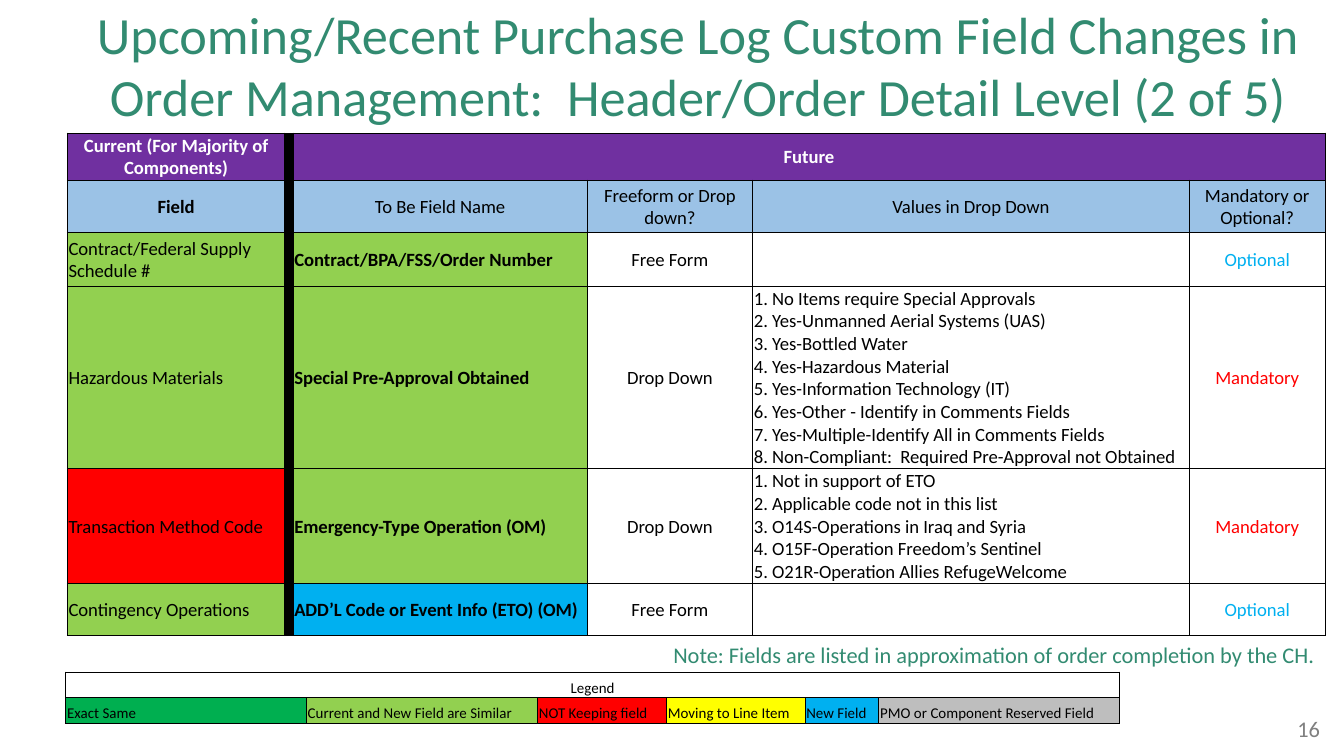
import lxml.etree
import pptx
import pptx.dml.color
import pptx.enum.text
import pptx.oxml.ns
import pptx.util

Inches = pptx.util.Inches
Color = pptx.dml.color.RGBColor
ALIGN = pptx.enum.text.PP_ALIGN
ANCHOR = pptx.enum.text.MSO_ANCHOR

TEAL = Color(0x32, 0x8B, 0x71)
PURPLE = Color(0x70, 0x30, 0xA0)
PALE_BLUE = Color(0x9B, 0xC2, 0xE6)
LIME = Color(0x92, 0xD0, 0x50)
GREEN = Color(0x00, 0xAF, 0x50)
RED = Color(0xFF, 0x00, 0x00)
YELLOW = Color(0xFF, 0xFF, 0x00)
BLUE = Color(0x00, 0xB0, 0xF0)
SILVER = Color(0xBE, 0xBE, 0xBE)
GRAY = Color(0x80, 0x80, 0x80)
BLACK = Color(0x00, 0x00, 0x00)
WHITE = Color(0xFF, 0xFF, 0xFF)

# Content
TITLE = ("Upcoming/Recent Purchase Log Custom Field Changes in Order Management:  "
         "Header/Order Detail Level (2 of 5)")
NOTE = "Note: Fields are listed in approximation of order completion by the CH."
PAGE_NUMBER = "16"
GROUPS = ["Current (For Majority of Components)", "", "Future", "", "", ""]
HEADINGS = ["Field", "", "To Be Field Name", "Freeform or Drop down?",
            "Values in Drop Down", "Mandatory or Optional?"]
# A blank line separates paragraphs, a single line end is a line break
APPROVALS = """1. No Items require Special Approvals
2. Yes-Unmanned Aerial Systems (UAS)
3. Yes-Bottled Water
4. Yes-Hazardous Material
5. Yes-Information Technology (IT)
6. Yes-Other - Identify in Comments Fields
7. Yes-Multiple-Identify All in Comments Fields

8. Non-Compliant:  Required Pre-Approval not Obtained"""
OPERATIONS = """1. Not in support of ETO
2. Applicable code not in this list
3. O14S-Operations in Iraq and Syria
4. O15F-Operation Freedom’s Sentinel
5. O21R-Operation Allies RefugeWelcome"""
# Current field and its fill, future field and its fill, entry type, values, requirement
FIELDS = [
    ("Contract/Federal Supply Schedule #", LIME, "Contract/BPA/FSS/Order Number", LIME,
     "Free Form", "", "Optional"),
    ("Hazardous Materials", LIME, "Special Pre-Approval Obtained", LIME,
     "Drop Down", APPROVALS, "Mandatory"),
    ("Transaction Method Code", RED, "Emergency-Type Operation (OM)", LIME,
     "Drop Down", OPERATIONS, "Mandatory"),
    ("Contingency Operations", LIME, "ADD’L Code or Event Info (ETO) (OM)", BLUE,
     "Free Form", "", "Optional"),
]
REQUIREMENT_COLORS = {"Optional": BLUE, "Mandatory": RED}
LEGEND = [("Exact Same", GREEN), ("Current and New Field are Similar", LIME),
          ("NOT Keeping field", RED), ("Moving to Line Item", YELLOW),
          ("New Field", BLUE), ("PMO or Component Reserved Field", SILVER)]

SLIDE_WIDTH = 10
SLIDE_HEIGHT = SLIDE_WIDTH * 9 / 16
FIELD_COLUMNS = [1.62, 0.06, 2.19, 1.23, 3.25, 1.01]
FIELD_ROWS = [0.35, 0.39, 0.4, 1.35, 0.85, 0.39]
LEGEND_COLUMNS = [1.79, 1.72, 0.96, 1.03, 0.55, 1.79]
LEGEND_ROWS = [0.19, 0.19]


def write(frame, text, size=10, color=BLACK, bold=False, align=ALIGN.LEFT, line_spacing=None):
    """Fill a text frame with paragraphs and their line breaks."""
    for index, block in enumerate(text.split("\n\n")):
        paragraph = frame.paragraphs[0] if index == 0 else frame.add_paragraph()
        paragraph.alignment = align
        if line_spacing:
            paragraph.line_spacing = pptx.util.Pt(line_spacing)
        for position, line in enumerate(block.split("\n")):
            if position:
                paragraph.add_line_break()
            run = paragraph.add_run()
            run.text = line
            run.font.name = "Calibri"
            run.font.size = pptx.util.Pt(size)
            run.font.bold = bold
            run.font.color.rgb = color


def add_text_box(slide, left, top, width, height, text, **text_format):
    box = slide.shapes.add_textbox(*map(Inches, (left, top, width, height)))
    box.text_frame.word_wrap = True
    write(box.text_frame, text, **text_format)
    return box


def add_grid(slide, left, top, columns, rows):
    frame = slide.shapes.add_table(len(rows), len(columns), Inches(left), Inches(top),
                                   Inches(sum(columns)), Inches(sum(rows)))
    table = frame.table
    table.first_row = table.horz_banding = False
    for column, width in zip(table.columns, columns):
        column.width = Inches(width)
    for row, height in zip(table.rows, rows):
        row.height = Inches(height)
    return table


def fill_cell(cell, text, fill=None, anchor=ANCHOR.MIDDLE, **text_format):
    cell.margin_left = cell.margin_top = cell.margin_right = Inches(0.01)
    cell.margin_bottom = 0
    cell.vertical_anchor = anchor
    write(cell.text_frame, text, **text_format)
    # Thin black borders
    properties = cell._tc.get_or_add_tcPr()
    qualify = pptx.oxml.ns.qn
    for side in ("a:lnL", "a:lnR", "a:lnT", "a:lnB"):
        line = lxml.etree.SubElement(properties, qualify(side), w=str(pptx.util.Pt(0.5)))
        solid = lxml.etree.SubElement(line, qualify("a:solidFill"))
        lxml.etree.SubElement(solid, qualify("a:srgbClr"), val=str(BLACK))
    if fill is None:
        cell.fill.background()
    else:
        cell.fill.solid()
        cell.fill.fore_color.rgb = fill


def add_field_table(slide):
    table = add_grid(slide, 0.5, 0.99, FIELD_COLUMNS, FIELD_ROWS)
    table.cell(0, 2).merge(table.cell(0, 5))
    for column, (group, heading) in enumerate(zip(GROUPS, HEADINGS)):
        divider = column == 1
        fill_cell(table.cell(0, column), group, BLACK if divider else PURPLE,
                  color=WHITE, bold=True, align=ALIGN.CENTER)
        fill_cell(table.cell(1, column), heading, BLACK if divider else PALE_BLUE,
                  bold=column == 0, align=ALIGN.CENTER)
    for row, field in enumerate(FIELDS, start=2):
        current, current_fill, future, future_fill, entry, values, requirement = field
        cells = [table.cell(row, column) for column in range(len(FIELD_COLUMNS))]
        fill_cell(cells[0], current, current_fill)
        fill_cell(cells[1], "", BLACK)
        fill_cell(cells[2], future, future_fill, bold=True)
        fill_cell(cells[3], entry, align=ALIGN.CENTER)
        fill_cell(cells[4], values, anchor=ANCHOR.BOTTOM)
        fill_cell(cells[5], requirement, color=REQUIREMENT_COLORS[requirement],
                  align=ALIGN.CENTER)


def add_legend(slide):
    table = add_grid(slide, 0.49, 5, LEGEND_COLUMNS, LEGEND_ROWS)
    table.cell(0, 0).merge(table.cell(0, 5))
    for column, (label, fill) in enumerate(LEGEND):
        fill_cell(table.cell(0, column), "Legend" if column == 0 else "",
                  anchor=ANCHOR.BOTTOM, size=8, align=ALIGN.CENTER, line_spacing=11.4)
        fill_cell(table.cell(1, column), label, fill, anchor=ANCHOR.BOTTOM,
                  size=8, line_spacing=12.7)


def main():
    presentation = pptx.Presentation()
    presentation.slide_width = Inches(SLIDE_WIDTH)
    presentation.slide_height = Inches(SLIDE_HEIGHT)
    slide = presentation.slides.add_slide(presentation.slide_layouts[5])

    # Title
    title = slide.shapes.title
    title.left, title.top, title.width, title.height = map(Inches, (0.38, -0.02, 9.62, 1))
    title.text_frame.auto_size = pptx.enum.text.MSO_AUTO_SIZE.NONE
    title.text_frame.vertical_anchor = ANCHOR.MIDDLE
    write(title.text_frame, TITLE, size=28, color=TEAL, align=ALIGN.CENTER)

    # Tables, note and page number
    add_field_table(slide)
    note = add_text_box(slide, 5, 4.76, 5, 0.21, NOTE, size=12, color=TEAL).text_frame
    note.margin_left = note.margin_top = Inches(0.01)
    note.margin_right = note.margin_bottom = 0
    add_legend(slide)
    add_text_box(slide, 9.31, 5.27, 0.61, 0.3, PAGE_NUMBER, size=12, color=GRAY,
                 align=ALIGN.RIGHT)
    presentation.save("out.pptx")


if __name__ == "__main__":
    main()
